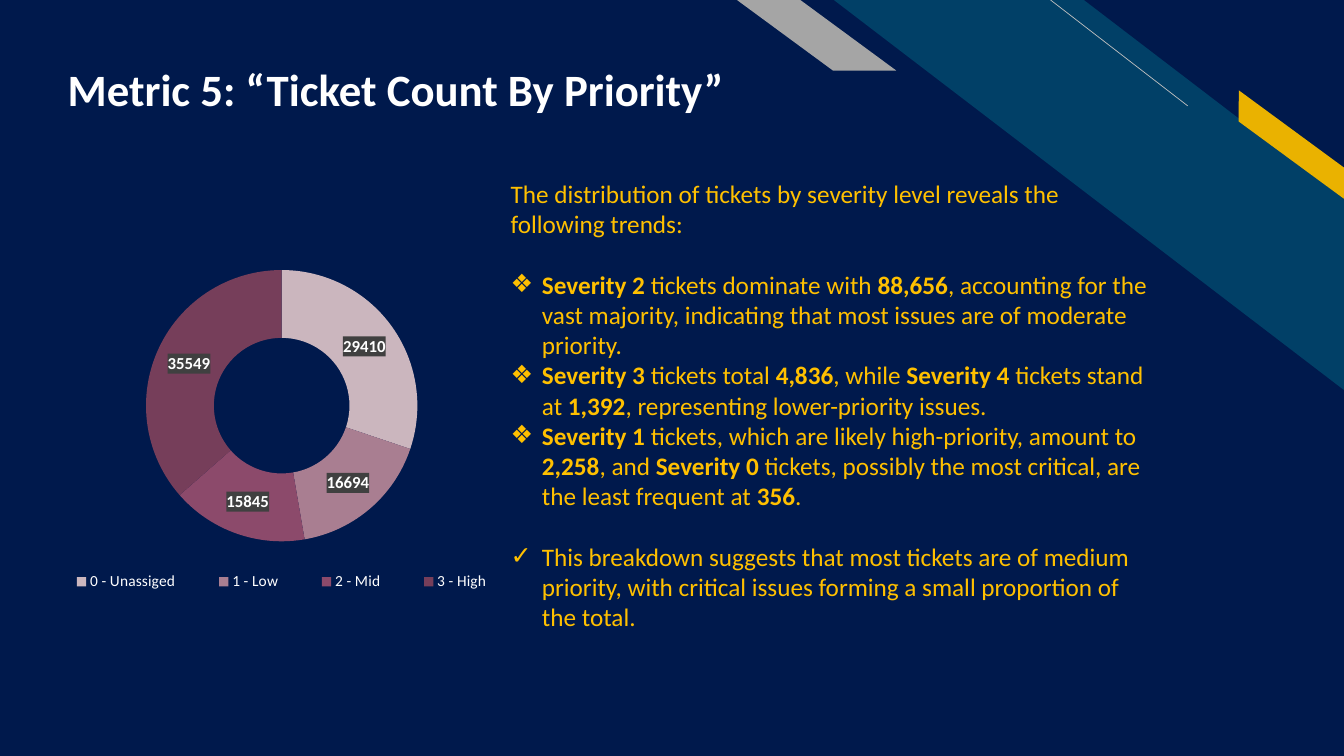
import dataclasses

import lxml.etree
import pptx
import pptx.chart.data
import pptx.dml.color
import pptx.enum.chart
import pptx.enum.shapes
import pptx.enum.text
import pptx.oxml
import pptx.oxml.ns
import pptx.util


@dataclasses.dataclass(frozen=True)
class Theme:
    background: str = "00194C"
    stripe: str = "014067"
    hairline: str = "BFBFBF"
    accent: str = "EAB200"
    tab: str = "A5A5A5"
    heading: str = "FFFFFF"
    body: str = "FFC000"
    label_box: str = "404040"
    slices: tuple = ("CBB6BE", "A97E91", "8C4A6B", "763E5A")
    font: str = "Calibri"
    title_size: int = 32
    body_size: int = 18
    label_size: int = 12
    legend_size: int = 11


theme = Theme()
color = pptx.dml.color.RGBColor.from_string
qn = pptx.oxml.ns.qn
presentation = pptx.Presentation()
presentation.slide_width = pptx.util.Inches(13.33)
presentation.slide_height = pptx.util.Inches(7.5)
slide = presentation.slides.add_slide(presentation.slide_layouts[1])
slide.background.fill.solid()
slide.background.fill.fore_color.rgb = color(theme.background)


def span(*percents):
    sides = (presentation.slide_width, presentation.slide_height) * 2
    return [round(side * percent / 100) for side, percent in zip(sides, percents)]


def style(font, size, rgb, bold=False):
    font.name = theme.font
    font.size = pptx.util.Pt(size)
    font.bold = bold
    font.color.rgb = color(rgb)


kinds = pptx.enum.shapes.MSO_SHAPE
bands = [
    (kinds.DIAGONAL_STRIPE, (62.04, 0, 37.96, 51.6), 0.51, 0, theme.stripe),
    (kinds.PARALLELOGRAM, (90.55, 17.47, 11.1, 3.33), 0.72, 36.3, theme.accent),
    (kinds.PARALLELOGRAM, (54.84, 0, 11.85, 9.33), 1.36, 0, theme.tab),
]
for kind, place, adjustment, rotation, fill in bands:
    band = slide.shapes.add_shape(kind, *span(*place))
    band.adjustments[0] = adjustment
    band.rotation = rotation
    band.element.spPr.get_or_add_xfrm().set("flipH", "1")
    band.shadow.inherit = False
    band.fill.solid()
    band.fill.fore_color.rgb = color(fill)
    band.line.fill.background()

hairline = slide.shapes.add_connector(
    pptx.enum.shapes.MSO_CONNECTOR.STRAIGHT, *span(88.37, 14, 78.17, 0)
)
hairline.line.color.rgb = color(theme.hairline)
hairline.line.width = pptx.util.Pt(0.5)
lxml.etree.SubElement(hairline.element.spPr, qn("a:effectLst"))

title = slide.shapes.title
body = slide.placeholders[1]
frames = [
    (title, (4.28, 6.53, 74.12, 8.8), pptx.enum.text.MSO_ANCHOR.BOTTOM),
    (body, (37.25, 22.9, 49.21, 70), pptx.enum.text.MSO_ANCHOR.TOP),
]
for placeholder, place, anchor in frames:
    slide.shapes.element.append(placeholder.element)
    placeholder.left, placeholder.top, placeholder.width, placeholder.height = span(*place)
    placeholder.text_frame.word_wrap = True
    placeholder.text_frame.auto_size = pptx.enum.text.MSO_AUTO_SIZE.NONE
    placeholder.text_frame.vertical_anchor = anchor
title.text_frame.margin_bottom = 0
paragraph = title.text_frame.paragraphs[0]
paragraph.alignment = pptx.enum.text.PP_ALIGN.LEFT
paragraph.line_spacing = 0.9
run = paragraph.add_run()
run.text = "Metric 5: “Ticket Count By Priority”"
style(run.font, theme.title_size, theme.heading, True)

line_gap = theme.body_size * 1.2
findings = [
    ("", 0, "The distribution of tickets by severity level reveals the following trends:"),
    ("❖", line_gap, "*Severity 2* tickets dominate with *88,656*, accounting for the vast "
     "majority, indicating that most issues are of moderate priority."),
    ("❖", 0, "*Severity 3* tickets total *4,836*, while *Severity 4* tickets stand at "
     "*1,392*, representing lower-priority issues."),
    ("❖", 0, "*Severity 1* tickets, which are likely high-priority, amount to *2,258*, and "
     "*Severity 0* tickets, possibly the most critical, are the least frequent at *356*."),
    ("✓", line_gap, "This breakdown suggests that most tickets are of medium priority, with "
     "critical issues forming a small proportion of the total."),
]
for index, (bullet, gap, text) in enumerate(findings):
    paragraph = body.text_frame.paragraphs[0] if index == 0 else body.text_frame.add_paragraph()
    paragraph.line_spacing = 1.0
    paragraph.space_before = pptx.util.Pt(gap)
    paragraph.space_after = pptx.util.Pt(0)
    indent = pptx.util.Inches(0.31 if bullet else 0)
    properties = paragraph._p.get_or_add_pPr()
    properties.set("marL", str(indent))
    properties.set("indent", str(-indent))
    if bullet:
        lxml.etree.SubElement(properties, qn("a:buFont"), typeface=theme.font)
        lxml.etree.SubElement(properties, qn("a:buChar"), char=bullet)
    else:
        lxml.etree.SubElement(properties, qn("a:buNone"))
    for part, words in enumerate(text.split("*")):
        if words:
            run = paragraph.add_run()
            run.text = words
            style(run.font, theme.body_size, theme.body, part % 2 == 1)

chart_data = pptx.chart.data.CategoryChartData()
chart_data.categories = ["0 - Unassiged", "1 - Low", "2 - Mid", "3 - High"]
chart_data.add_series("Series 1", (29410, 16694, 15845, 35549))
chart = slide.shapes.add_chart(
    pptx.enum.chart.XL_CHART_TYPE.DOUGHNUT, *span(2.1, 22.93, 38.11, 57.47), chart_data
).chart
chart.has_title = False
style(chart.font, theme.legend_size, theme.heading)
plot = chart.plots[0]
plot.vary_by_categories = True
series = plot.series[0]
for index, fill in enumerate(theme.slices):
    slice_format = series.points[index].format
    slice_format.fill.solid()
    slice_format.fill.fore_color.rgb = color(fill)
    slice_format.line.fill.background()

labels = series.data_labels
labels.show_value = True
labels.show_percentage = False
style(labels.font, theme.label_size, theme.heading, True)
label_text = chart.element.xpath(".//c:ser/c:dLbls/c:txPr")[0]
label_box = lxml.etree.Element(qn("c:spPr"))
label_fill = lxml.etree.SubElement(label_box, qn("a:solidFill"))
lxml.etree.SubElement(label_fill, qn("a:srgbClr"), val=theme.label_box)
label_text.addprevious(label_box)

chart.has_legend = True
chart.legend.position = pptx.enum.chart.XL_LEGEND_POSITION.BOTTOM
chart.legend.include_in_layout = False
style(chart.legend.font, theme.legend_size, theme.heading)

regions = [
    ("c:plotArea", 0, {"layoutTarget": "inner"}, (0.23, 0.2, 0.53, 0.67)),
    ("c:legend", 1, {}, (0.02, 0.9, 0.95, 0.08)),
]
for tag, position, target, shares in regions:
    region = chart.element.xpath(".//" + tag)[0]
    for old_layout in region.findall(qn("c:layout")):
        region.remove(old_layout)
    layout = lxml.etree.Element(qn("c:layout"))
    manual = lxml.etree.SubElement(layout, qn("c:manualLayout"))
    settings = target | {"xMode": "edge", "yMode": "edge"} | dict(zip("xywh", shares))
    for name, value in settings.items():
        lxml.etree.SubElement(manual, qn("c:" + name), val=str(value))
    region.insert(position, layout)

presentation.save("out.pptx")
